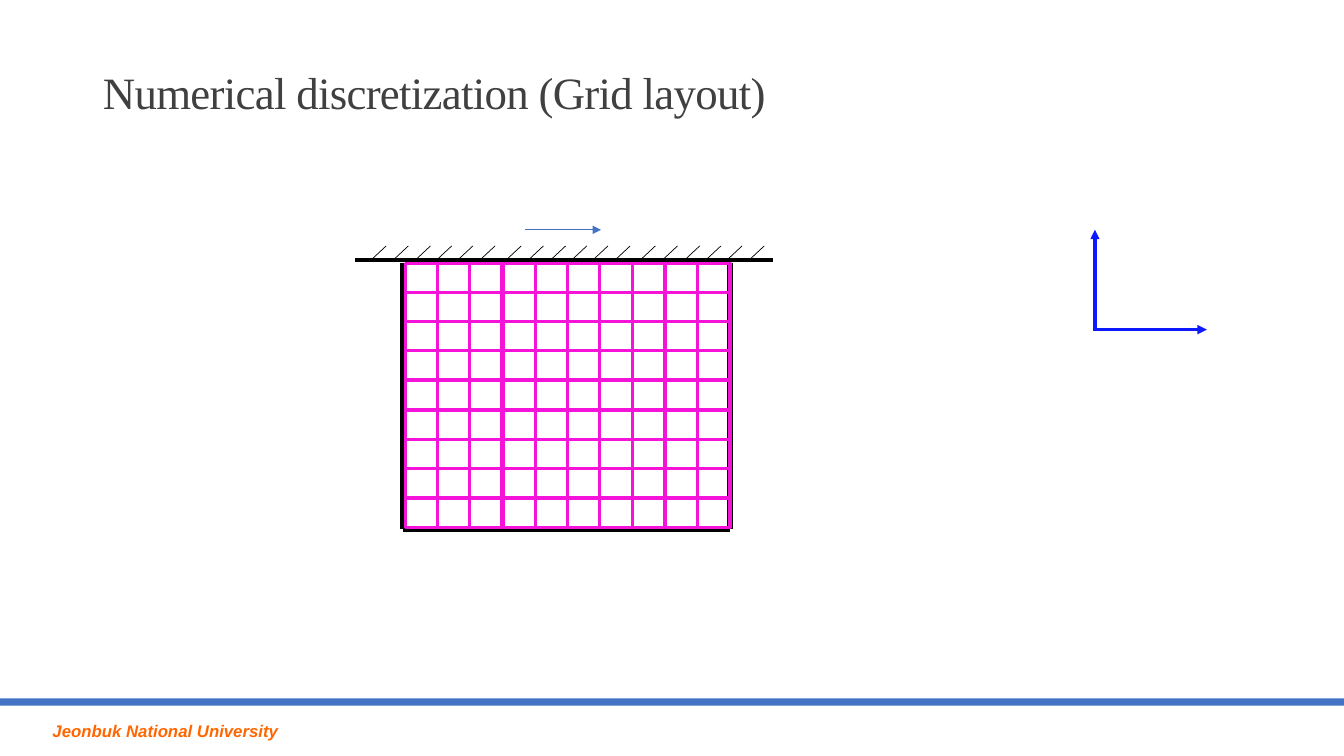
from dataclasses import dataclass

from lxml import etree
from pptx import Presentation
from pptx.dml.color import RGBColor
from pptx.enum.shapes import MSO_CONNECTOR, MSO_SHAPE
from pptx.enum.text import MSO_ANCHOR, MSO_AUTO_SIZE, PP_ALIGN
from pptx.oxml.ns import qn
from pptx.slide import Slide
from pptx.util import Emu, Pt

STRAIGHT = MSO_CONNECTOR.STRAIGHT
RECTANGLE = MSO_SHAPE.RECTANGLE
BOTTOM = MSO_ANCHOR.BOTTOM
NO_AUTO_SIZE = MSO_AUTO_SIZE.NONE
LEFT = PP_ALIGN.LEFT

EMU_PER_PX = 9144
SLIDE_WIDTH, SLIDE_HEIGHT = 1333, 750

BLACK = "000000"
BLUE = "4472C4"
AXIS_BLUE = "0D19FF"
MAGENTA = "F513DA"
ORANGE = "FF6600"
DARK_GRAY = "404040"

GRID_LEFT, GRID_TOP = 402, 261
GRID_COLUMNS, GRID_ROWS = 10, 9
COLUMN_PITCH, ROW_PITCH = 32.2, 29.1
CELL_WIDTH, CELL_HEIGHT = 32, 29

LID_Y = 258
HATCH_GROUPS = (368, 502, 635)
HATCH_OFFSETS = (0, 22, 44, 65, 86, 108)
HATCH_WIDTH, HATCH_HEIGHT = 15, 14


@dataclass(frozen=True)
class Line:
    x1: int
    y1: int
    x2: int
    y2: int
    color: str
    weight: float
    arrow: bool = False


CAVITY_WALLS = [
    Line(400, 261, 400, 525, BLACK, 4.5),
    Line(724, 261, 724, 525, BLACK, 4.5),
    Line(400, 525, 724, 525, BLACK, 4.5),
]
LID = [Line(352, LID_Y, 767, LID_Y, BLACK, 2.25)]
HATCHES = [
    Line(start + offset, LID_Y, start + offset + HATCH_WIDTH, LID_Y - HATCH_HEIGHT, BLACK, 0.5)
    for start in HATCH_GROUPS
    for offset in HATCH_OFFSETS
]
ARROWS = [
    Line(521, 228, 596, 228, BLUE, 0.5, True),
    Line(1085, 327, 1197, 327, AXIS_BLUE, 2.25, True),
    Line(1086, 328, 1086, 228, AXIS_BLUE, 2.25, True),
]


def px(length: int) -> Emu:
    return Emu(length * EMU_PER_PX)


def color(value: str) -> RGBColor:
    return RGBColor.from_string(value)


def add_title(slide: Slide) -> None:
    title = slide.shapes.title
    title.left, title.top, title.width, title.height = px(92), px(40), px(1150), px(83)
    frame = title.text_frame
    frame.text = "Numerical discretization (Grid layout)"
    frame.word_wrap = True
    frame.auto_size = NO_AUTO_SIZE
    frame.vertical_anchor = BOTTOM
    paragraph = frame.paragraphs[0]
    paragraph.alignment = LEFT
    paragraph.line_spacing = 0.85
    paragraph.font.name = "Times New Roman"
    paragraph.font.size = Pt(32)
    paragraph.font.color.rgb = color(DARK_GRAY)
    paragraph.runs[0].font._element.set("spc", "-50")


def add_footer(slide: Slide) -> None:
    bar = slide.shapes.add_shape(RECTANGLE, 0, px(693), px(SLIDE_WIDTH), px(7))
    bar.shadow.inherit = False
    bar.fill.solid()
    bar.fill.fore_color.rgb = color(BLUE)
    bar.line.fill.background()

    box = slide.shapes.add_textbox(px(38), px(710), px(321), px(30))
    frame = box.text_frame
    frame.word_wrap = True
    frame.margin_left = px(14)
    frame.text = "Jeonbuk National University"
    paragraph = frame.paragraphs[0]
    paragraph.font.name = "Arial"
    paragraph.font.size = Pt(12)
    paragraph.font.bold = True
    paragraph.font.italic = True
    paragraph.font.color.rgb = color(ORANGE)


def add_line(slide: Slide, line: Line) -> None:
    connector = slide.shapes.add_connector(
        STRAIGHT, px(line.x1), px(line.y1), px(line.x2), px(line.y2)
    )
    connector.line.color.rgb = color(line.color)
    connector.line.width = Pt(line.weight)
    if line.arrow:
        etree.SubElement(connector.line._get_or_add_ln(), qn("a:tailEnd"), type="triangle")
    etree.SubElement(connector._element.spPr, qn("a:effectLst"))


def add_cell(slide: Slide, row: int, column: int) -> None:
    left = GRID_LEFT + round(column * COLUMN_PITCH)
    top = GRID_TOP + round(row * ROW_PITCH)
    cell = slide.shapes.add_shape(RECTANGLE, px(left), px(top), px(CELL_WIDTH), px(CELL_HEIGHT))
    cell.shadow.inherit = False
    cell.fill.background()
    cell.line.color.rgb = color(MAGENTA)
    cell.line.width = Pt(2.25)


def main() -> None:
    presentation = Presentation()
    presentation.slide_width = px(SLIDE_WIDTH)
    presentation.slide_height = px(SLIDE_HEIGHT)
    slide = presentation.slides.add_slide(presentation.slide_layouts.get_by_name("Title Only"))
    add_title(slide)
    add_footer(slide)
    for line in CAVITY_WALLS + LID + HATCHES + ARROWS:
        add_line(slide, line)
    for row in range(GRID_ROWS):
        for column in range(GRID_COLUMNS):
            add_cell(slide, row, column)
    presentation.save("out.pptx")


if __name__ == "__main__":
    main()
